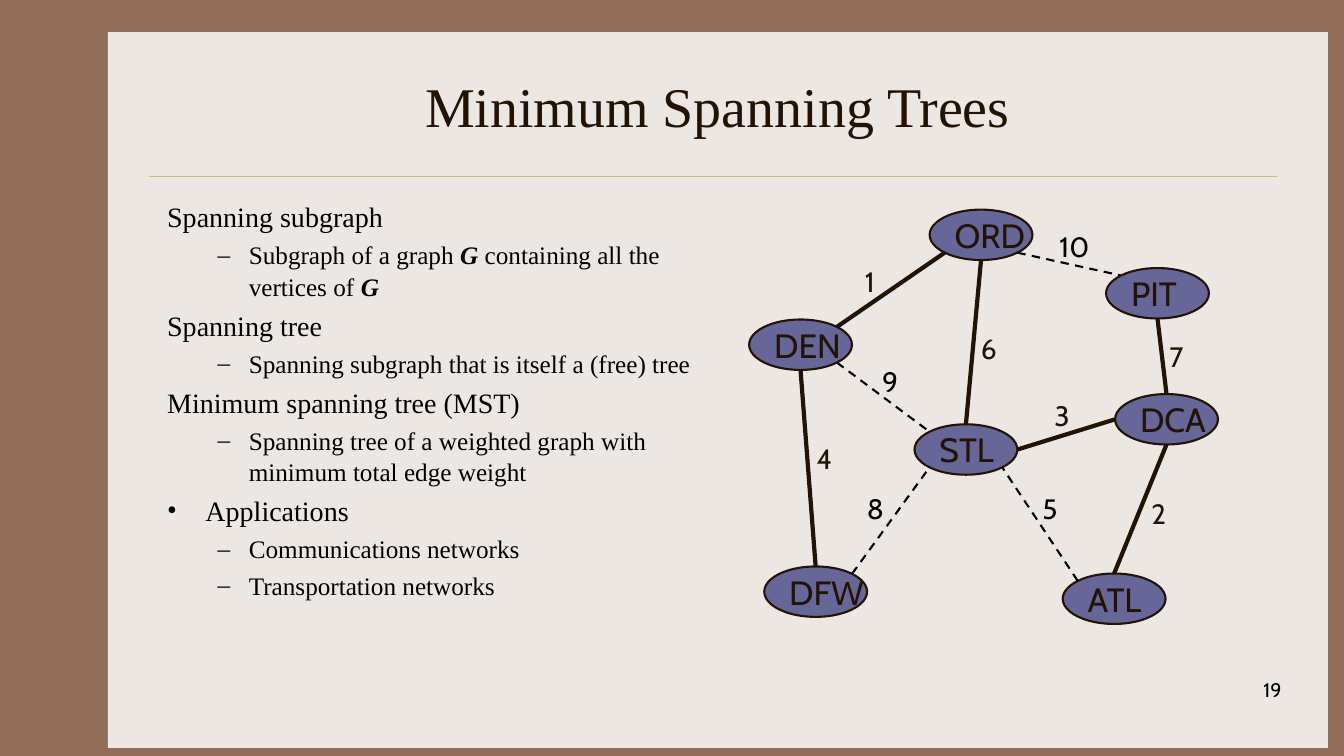
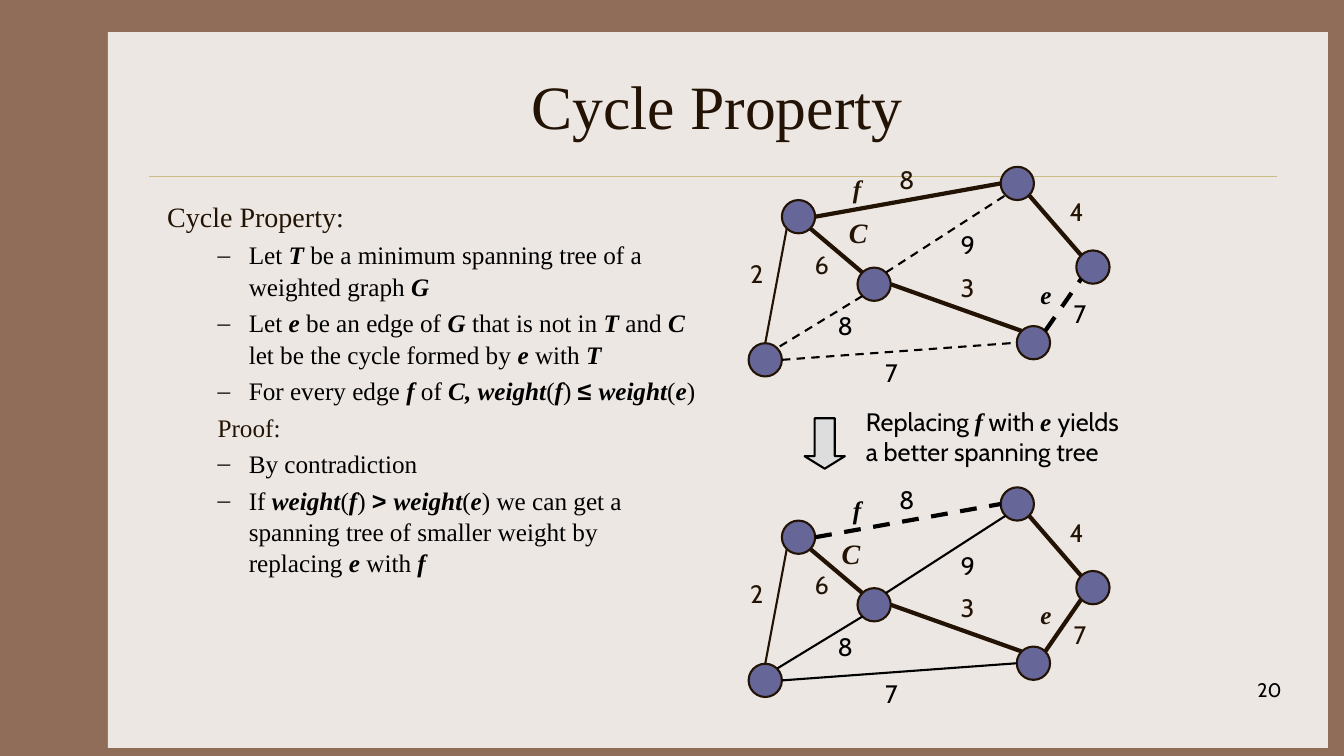
from dataclasses import dataclass
from math import sqrt
from typing import NamedTuple

from lxml.etree import SubElement
from pptx import Presentation
from pptx.dml.color import RGBColor
from pptx.enum.dml import MSO_LINE
from pptx.enum.shapes import MSO_CONNECTOR, MSO_SHAPE
from pptx.enum.text import MSO_ANCHOR, MSO_AUTO_SIZE, PP_ALIGN
from pptx.oxml.ns import qn
from pptx.util import Inches, Pt

SERIF, SANS, SYMBOL = "Times New Roman", "Cabin", "Arial"
BROWN, BLACK, NODE_FILL = "221304", "000000", "666699"
BACKDROP, PANEL, RULE, ARROW_FILL = "906D58", "EDE7E3", "CBBD83", "DDDDDD"

DIAGONAL = 1 / sqrt(2)
SIDES = {
    "n": (0, -1), "s": (0, 1), "w": (-1, 0), "e": (1, 0),
    "nw": (-DIAGONAL, -DIAGONAL), "ne": (DIAGONAL, -DIAGONAL),
    "sw": (-DIAGONAL, DIAGONAL), "se": (DIAGONAL, DIAGONAL),
}


class Stroke(NamedTuple):
    color: str
    width: float
    dashed: bool = False


OUTLINE = Stroke(BROWN, 1.5)
TREE = Stroke(BROWN, 3)
THIN = Stroke(BLACK, 1.5)
DASHED = Stroke(BLACK, 1.5, True)
THICK_DASHED = Stroke(BLACK, 3, True)


class Box(NamedTuple):
    left: float
    top: float
    width: float
    height: float

    def inches(self) -> list:
        return [Inches(length) for length in self]


@dataclass
class Node:
    x: float
    y: float
    width: float
    height: float
    label: str = ""

    def anchor(self, side: str) -> tuple:
        """Point on the ellipse outline in a compass direction."""
        dx, dy = SIDES[side]
        return self.x + dx * self.width / 2, self.y + dy * self.height / 2


class Edge(NamedTuple):
    start: str
    start_side: str
    end: str
    end_side: str
    weight: str
    label_x: float
    label_y: float
    role: str


class Line(NamedTuple):
    text: str
    level: int = 1
    bullet: str = "–"


LEVEL_SIZES = (20, 18)
LEVEL_INDENTS = ((0.38, -0.38), (0.81, -0.31))

MST_LINES = [
    Line("Spanning subgraph", 0, ""),
    Line("Subgraph of a graph *G* containing all the vertices of *G*"),
    Line("Spanning tree", 0, ""),
    Line("Spanning subgraph that is itself a (free) tree"),
    Line("Minimum spanning tree (MST)", 0, ""),
    Line("Spanning tree of a weighted graph with minimum total edge weight"),
    Line("Applications", 0, "•"),
    Line("Communications networks"),
    Line("Transportation networks"),
]
CYCLE_LINES = [
    Line("Cycle Property:", 0, ""),
    Line("Let *T* be a minimum spanning tree of a weighted graph *G*"),
    Line("Let *e* be an edge of *G* that is not in *T *and *C* let be the "
         "cycle formed by *e* with *T*"),
    Line("For every edge *f* of *C, weight*(*f*) *≤ **weight*(*e*)"),
    Line("Proof:", 1, ""),
    Line("By contradiction"),
    Line("If *weight*(*f*) *> **weight*(*e*) we can get a spanning tree of "
         "smaller weight by replacing *e* with *f*"),
]

AIRPORTS = {
    code: Node(x, y, 1.02, 0.5, code)
    for code, x, y in [
        ("ORD", 9.73, 2.33), ("PIT", 11.48, 2.91), ("ATL", 11.05, 5.94),
        ("STL", 9.58, 4.46), ("DEN", 7.94, 3.42), ("DFW", 8.09, 5.87),
        ("DCA", 11.57, 4.16),
    ]
}
ROUTES = [
    Edge("DEN", "ne", "ORD", "sw", "1", 8.48, 2.57, "tree"),
    Edge("STL", "n", "ORD", "s", "6", 9.63, 3.24, "tree"),
    Edge("STL", "e", "DCA", "w", "3", 10.36, 3.9, "tree"),
    Edge("DCA", "n", "PIT", "s", "7", 11.5, 3.32, "tree"),
    Edge("ORD", "se", "PIT", "nw", "10", 10.41, 2.23, "rest"),
    Edge("DEN", "s", "DFW", "n", "4", 8, 4.33, "tree"),
    Edge("DCA", "s", "ATL", "n", "2", 11.32, 4.88, "tree"),
    Edge("ATL", "nw", "STL", "se", "5", 10.24, 4.83, "rest"),
    Edge("DFW", "ne", "STL", "sw", "8", 8.5, 4.83, "rest"),
    Edge("DEN", "se", "STL", "nw", "9", 8.65, 3.57, "rest"),
]

CYCLE_POINTS = {
    "upper left": (7.92, 2.15), "top": (10.09, 1.82), "middle": (8.67, 2.82),
    "lower left": (7.59, 3.57), "right": (10.84, 2.65), "lower right": (10.25, 3.4),
}
CYCLE_EDGES = [
    Edge("upper left", "se", "middle", "nw", "6", 7.98, 2.42, "tree"),
    Edge("middle", "sw", "lower left", "ne", "8", 8.21, 3.03, "rest"),
    Edge("upper left", "sw", "lower left", "n", "2", 7.34, 2.51, "side"),
    Edge("middle", "e", "lower right", "nw", "3", 9.43, 2.65, "tree"),
    Edge("lower left", "e", "lower right", "w", "7", 8.68, 3.5, "rest"),
    Edge("upper left", "e", "top", "w", "8", 8.82, 1.58, "f"),
    Edge("middle", "ne", "top", "sw", "9", 9.43, 2.23, "rest"),
    Edge("right", "nw", "top", "se", "4", 10.51, 1.9, "tree"),
    Edge("lower right", "ne", "right", "sw", "7", 10.55, 2.91, "e"),
]


def rgb(color: str) -> RGBColor:
    return RGBColor.from_string(color)


def set_font(font, color: str, **values) -> None:
    for name, value in values.items():
        setattr(font, name, value)
    font.color.rgb = rgb(color)


def write(paragraph, text: str, size: float, font: str, color: str) -> None:
    """Add runs; text between asterisks is a bold variable or relation sign."""
    for index, part in enumerate(text.split("*")):
        if not part:
            continue
        style = {"name": font, "size": Pt(size)}
        if index % 2:
            relation = part[0] in "≤>"
            style |= {"name": SYMBOL if relation else SERIF,
                      "bold": True, "italic": not relation}
        run = paragraph.add_run()
        run.text = part
        set_font(run.font, color, **style)


def add_text(shapes, box: Box, texts: list, size: float, color: str = BLACK,
             font: str = SANS, align=PP_ALIGN.LEFT, wrap: bool = False) -> None:
    frame = shapes.add_textbox(*box.inches()).text_frame
    frame.word_wrap = wrap
    frame.auto_size = MSO_AUTO_SIZE.NONE if wrap else MSO_AUTO_SIZE.SHAPE_TO_FIT_TEXT
    for index, text in enumerate(texts):
        paragraph = frame.add_paragraph() if index else frame.paragraphs[0]
        paragraph.alignment = align
        write(paragraph, text, size, font, color)


def set_stroke(line, stroke: Stroke) -> None:
    line.color.rgb = rgb(stroke.color)
    line.width = Pt(stroke.width)
    if stroke.dashed:
        line.dash_style = MSO_LINE.DASH


def add_shape(shapes, kind, box: Box, fill: str, outline: Stroke | None = None):
    shape = shapes.add_shape(kind, *box.inches())
    shape.shadow.inherit = False
    shape.fill.solid()
    shape.fill.fore_color.rgb = rgb(fill)
    if outline:
        set_stroke(shape.line, outline)
    else:
        shape.line.fill.background()
    return shape


def add_line(shapes, start: tuple, end: tuple, stroke: Stroke):
    points = [Inches(length) for length in (*start, *end)]
    connector = shapes.add_connector(MSO_CONNECTOR.STRAIGHT, *points)
    set_stroke(connector.line, stroke)
    SubElement(connector.element.spPr, qn("a:effectLst"))
    return connector


def add_graph(shapes, nodes: dict, edges: list, strokes: dict,
              size: float, label_height: float) -> None:
    for node in nodes.values():
        box = Box(node.x - node.width / 2, node.y - node.height / 2,
                  node.width, node.height)
        ellipse = add_shape(shapes, MSO_SHAPE.OVAL, box, NODE_FILL, OUTLINE)
        if node.label:
            frame = ellipse.text_frame
            frame.word_wrap = False
            frame.vertical_anchor = MSO_ANCHOR.MIDDLE
            frame.paragraphs[0].alignment = PP_ALIGN.LEFT
            write(frame.paragraphs[0], node.label, 24, SANS, BROWN)
    for edge in edges:
        stroke = strokes[edge.role]
        add_line(shapes, nodes[edge.start].anchor(edge.start_side),
                 nodes[edge.end].anchor(edge.end_side), stroke)
        width = 0.2 + 0.15 * len(edge.weight)
        add_text(shapes, Box(edge.label_x, edge.label_y, width, label_height),
                 [edge.weight], size, stroke.color)


def add_cycle_graph(slide, drop: float, cycle_x: float, rest: Stroke,
                    f: Stroke, e: Stroke) -> None:
    """Draw the six-node graph lowered by drop, with its f, e and C marks."""
    shapes = slide.shapes.add_group_shape().shapes
    nodes = {name: Node(x, y + drop, 0.33, 0.33)
             for name, (x, y) in CYCLE_POINTS.items()}
    edges = [edge._replace(label_y=edge.label_y + drop) for edge in CYCLE_EDGES]
    strokes = {"tree": TREE, "side": OUTLINE, "rest": rest, "f": f, "e": e}
    add_graph(shapes, nodes, edges, strokes, 18, 0.4)
    for mark, x, y, width, size, color in [
        ("e", 10.22, 2.72, 0.31, 18, e.color),
        ("C", cycle_x, 2.09, 0.39, 20, BROWN),
        ("f", 8.36, 1.67, 0.28, 18, f.color),
    ]:
        add_text(shapes, Box(x, y + drop, width, 0.4), [f"*{mark}*"], size, color)


def add_body(slide, lines: list, plain_color: str) -> None:
    """Write the outline; unbulleted lines take plain_color."""
    frame = slide.shapes.add_textbox(*Box(1.56, 1.92, 5.44, 4.5).inches()).text_frame
    frame.word_wrap = True
    for index, line in enumerate(lines):
        paragraph = frame.add_paragraph() if index else frame.paragraphs[0]
        size = LEVEL_SIZES[line.level]
        margin, indent = LEVEL_INDENTS[line.level]
        properties = paragraph._p.get_or_add_pPr()
        properties.set("marL", str(Inches(margin)))
        properties.set("indent", str(Inches(indent)))
        if line.bullet:
            SubElement(properties, qn("a:buFont"), typeface=SERIF)
            SubElement(properties, qn("a:buChar"), char=line.bullet)
        paragraph.line_spacing = 1.04
        if index:
            paragraph.space_before = Pt(size * 0.2)
        write(paragraph, line.text, size, SERIF, BLACK if line.bullet else plain_color)


def add_slide(prs, title: str, title_size: float, number: int):
    slide = prs.slides.add_slide(prs.slide_layouts[5])
    heading = slide.shapes.title
    place = dict(zip(("left", "top", "width", "height"),
                     Box(1.56, 0.42, 11.11, 1.25).inches()))
    for name, value in place.items():
        setattr(heading, name, value)
    heading.text_frame.vertical_anchor = MSO_ANCHOR.MIDDLE
    heading.text_frame.paragraphs[0].alignment = PP_ALIGN.CENTER
    write(heading.text_frame.paragraphs[0], title, title_size, SERIF, BROWN)

    panel = add_shape(slide.shapes, MSO_SHAPE.RECTANGLE, Box(1.07, 0.32, 12.1, 7.1), PANEL)
    rule = add_line(slide.shapes, (1.48, 1.75), (12.67, 1.75), Stroke(RULE, 0.25))
    for backing in (panel, rule):
        heading.element.addprevious(backing.element)
    add_text(slide.shapes, Box(10.03, 6.68, 2.78, 0.5), [str(number)], 14,
             align=PP_ALIGN.RIGHT, wrap=True)
    return slide


def build_spanning_trees(prs) -> None:
    slide = add_slide(prs, "Minimum Spanning Trees", 40, 19)
    add_body(slide, MST_LINES, BLACK)
    add_graph(slide.shapes, AIRPORTS, ROUTES, {"tree": TREE, "rest": DASHED}, 20, 0.43)


def build_cycle_property(prs) -> None:
    slide = add_slide(prs, "Cycle Property", 44, 20)
    add_body(slide, CYCLE_LINES, BROWN)
    add_cycle_graph(slide, 0, 8.32, rest=DASHED, f=TREE, e=THICK_DASHED)
    add_cycle_graph(slide, 3.18, 8.25, rest=THIN, f=THICK_DASHED, e=TREE)
    arrow = add_shape(slide.shapes, MSO_SHAPE.DOWN_ARROW, Box(7.98, 4.15, 0.4, 0.5),
                      ARROW_FILL, THIN)
    arrow.adjustments[1] = 0.31
    add_text(slide.shapes, Box(8.49, 3.98, 2.84, 0.7),
             ["Replacing *f* with *e *yields", "a better spanning tree"], 18)


def main() -> None:
    prs = Presentation()
    prs.slide_width, prs.slide_height = Inches(13.33), Inches(7.5)
    backdrop = prs.slide_master.background.fill
    backdrop.solid()
    backdrop.fore_color.rgb = rgb(BACKDROP)
    build_spanning_trees(prs)
    build_cycle_property(prs)
    prs.save("out.pptx")


if __name__ == "__main__":
    main()
